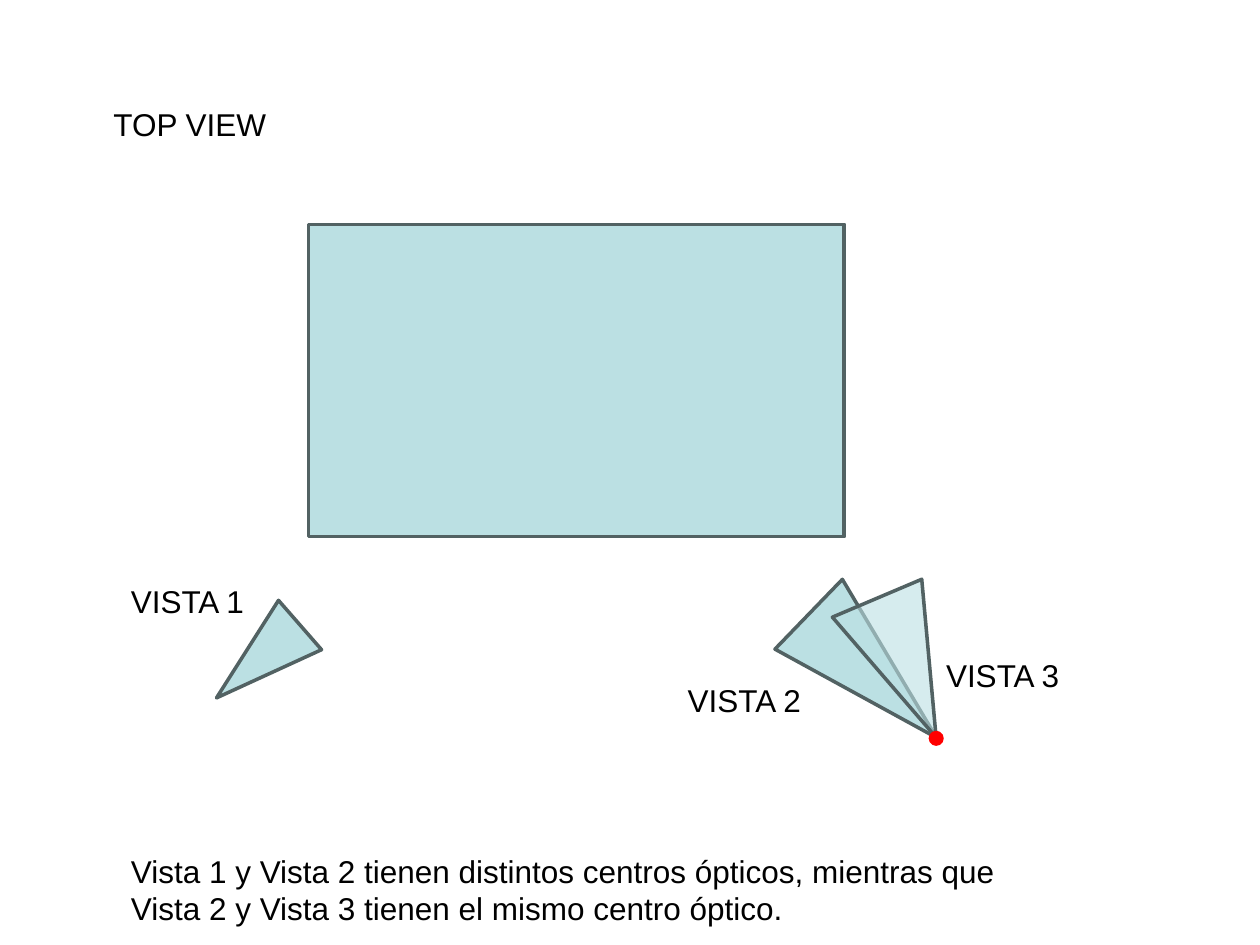
from dataclasses import dataclass

from lxml import etree
from pptx import Presentation
from pptx.dml.color import RGBColor
from pptx.enum import shapes, text
from pptx.oxml.ns import qn
from pptx.util import Inches, Pt


@dataclass(frozen=True)
class Theme:
    font: str = "Arial"
    size: int = 18
    ink: str = "000000"
    fill: str = "BBE0E3"
    edge: str = "526263"
    dot: str = "FF0000"
    weight: int = 2


THEME = Theme()
KIND = shapes.MSO_SHAPE

# Boxes are left, top, width, height in inches.
TITLE = ("TOP VIEW", (0.8, 0.78, 1.43, 0.4))
ROOM = (2.45, 1.78, 4.25, 2.48)
# Each view: cone box, turn in degrees, opacity in percent, label, label corner.
VIEWS = [
    ((1.79, 4.81, 0.52, 0.88), 228.9, 100, "VISTA 1", (0.94, 4.57)),
    ((6.54, 4.66, 0.77, 1.41), 134, 100, "VISTA 2", (5.36, 5.36)),
    ((6.81, 4.7, 0.77, 1.2), 157, 60, "VISTA 3", (7.41, 5.16)),
]
LABEL = (1.11, 0.4)
NOTE = (
    [
        "Vista 1 y Vista 2 tienen distintos centros ópticos, mientras que",
        "Vista 2 y Vista 3 tienen el mismo centro óptico.",
    ],
    (0.94, 6.71, 7.12, 0.71),
)
CENTRE = (7.37, 5.8, 0.12, 0.12)


def color(code):
    return RGBColor.from_string(code)


def write(box, lines):
    frame = box.text_frame
    frame.word_wrap = False
    frame.auto_size = text.MSO_AUTO_SIZE.NONE
    frame.vertical_anchor = text.MSO_ANCHOR.TOP
    for i, line in enumerate(lines):
        para = frame.paragraphs[0] if i == 0 else frame.add_paragraph()
        para.alignment = text.PP_ALIGN.LEFT
        run = para.add_run()
        run.text = line
        run.font.name = THEME.font
        run.font.size = Pt(THEME.size)
        run.font.color.rgb = color(THEME.ink)


def label(slide, lines, box):
    write(slide.shapes.add_textbox(*map(Inches, box)), lines)


def draw(slide, kind, box, fill, edge=None, turn=0, alpha=100):
    """Add a flat shape; without an edge colour it has no outline."""
    shape = slide.shapes.add_shape(kind, *map(Inches, box))
    shape.shadow.inherit = False
    shape.rotation = turn
    shape.fill.solid()
    shape.fill.fore_color.rgb = color(fill)
    if alpha < 100:
        tint = shape.fill._xPr.find(qn("a:solidFill"))[0]
        etree.SubElement(tint, qn("a:alpha"), val=str(alpha * 1000))
    if edge:
        shape.line.color.rgb = color(edge)
        shape.line.width = Pt(THEME.weight)
    else:
        shape.line.fill.background()


def main():
    deck = Presentation()
    deck.slide_width, deck.slide_height = Inches(10), Inches(7.5)
    slide = deck.slides.add_slide(deck.slide_layouts[5])

    words, box = TITLE
    title = slide.shapes.title
    title.left, title.top, title.width, title.height = map(Inches, box)
    write(title, [words])

    draw(slide, KIND.RECTANGLE, ROOM, THEME.fill, THEME.edge)
    for cone, turn, alpha, name, corner in VIEWS:
        draw(slide, KIND.ISOSCELES_TRIANGLE, cone, THEME.fill, THEME.edge,
             turn, alpha)
        label(slide, [name], corner + LABEL)
    label(slide, *NOTE)
    draw(slide, KIND.OVAL, CENTRE, THEME.dot)

    deck.save("out.pptx")


if __name__ == "__main__":
    main()
